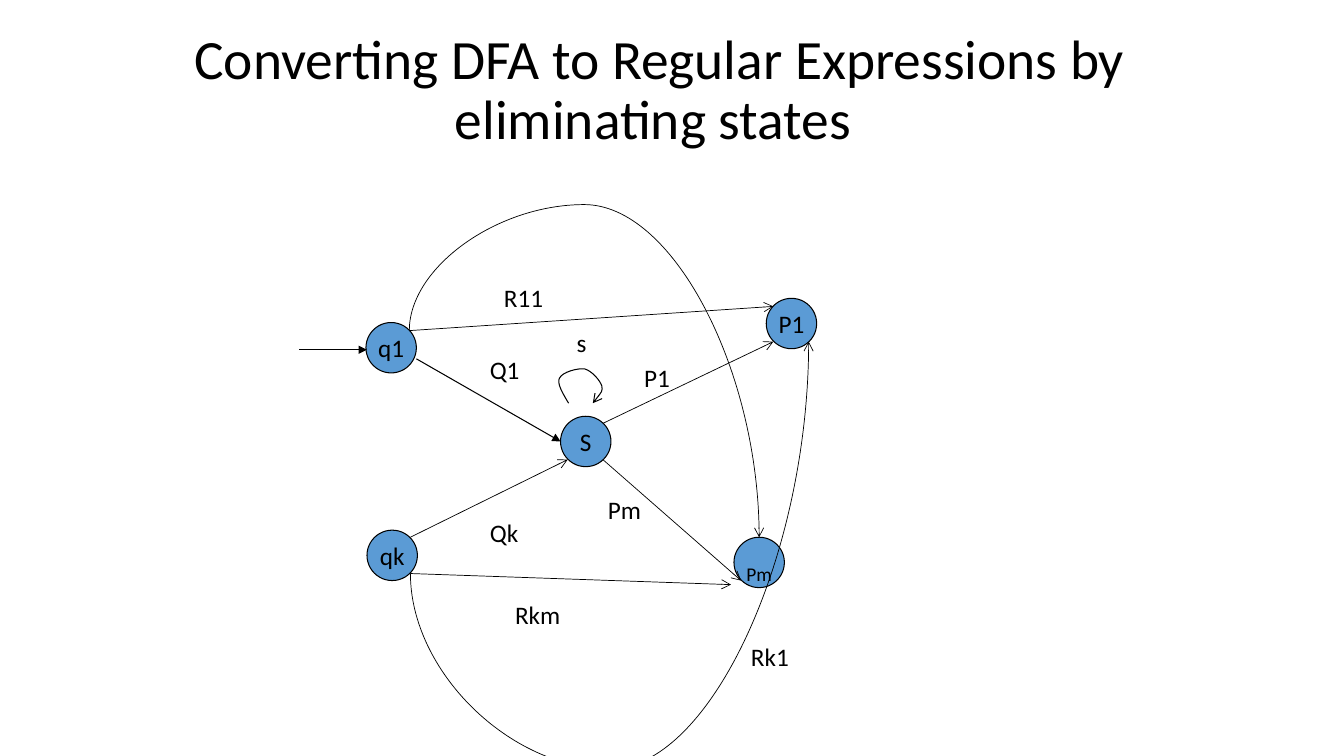
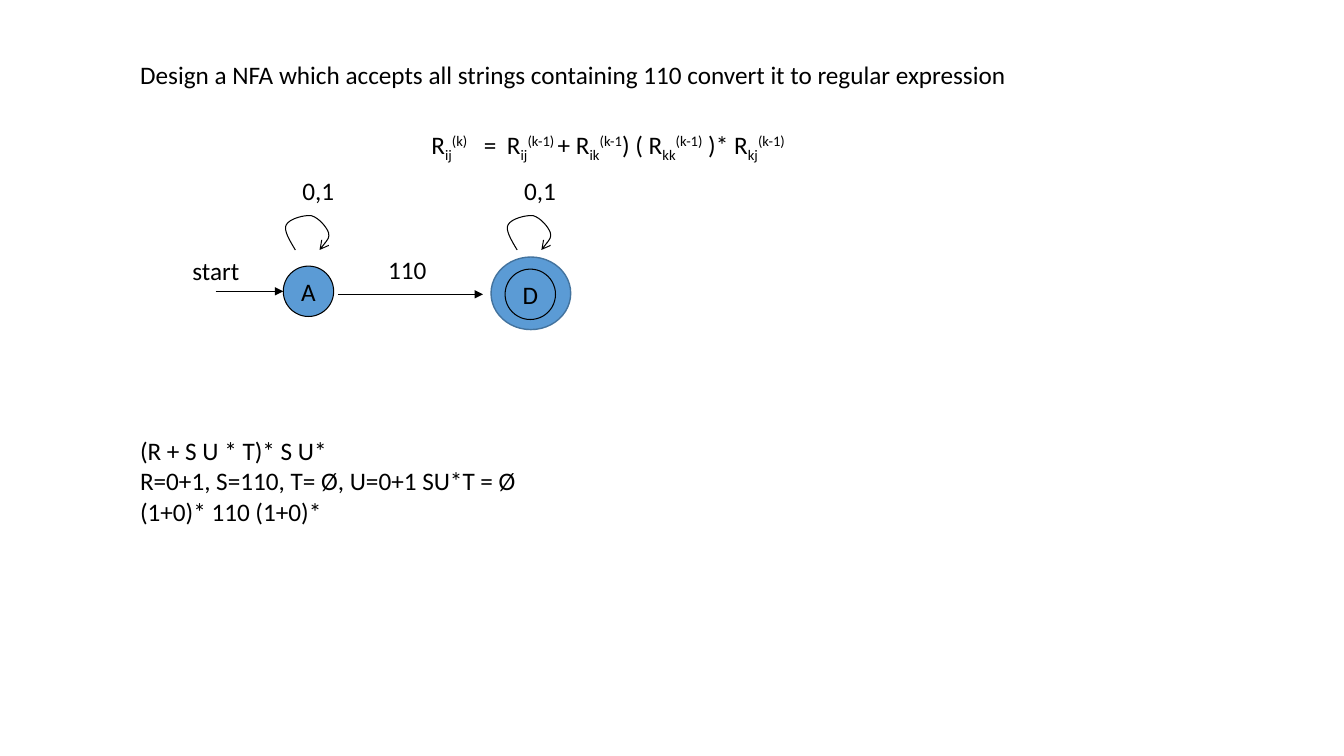
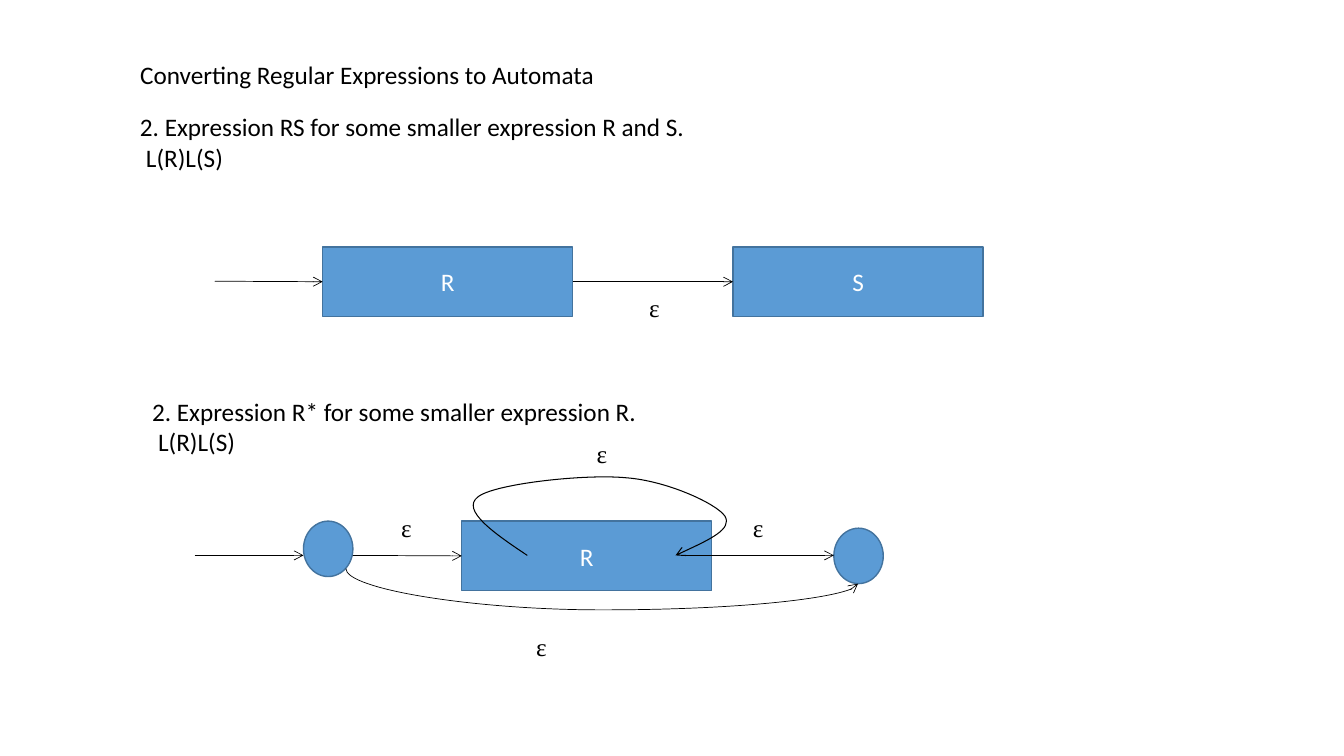
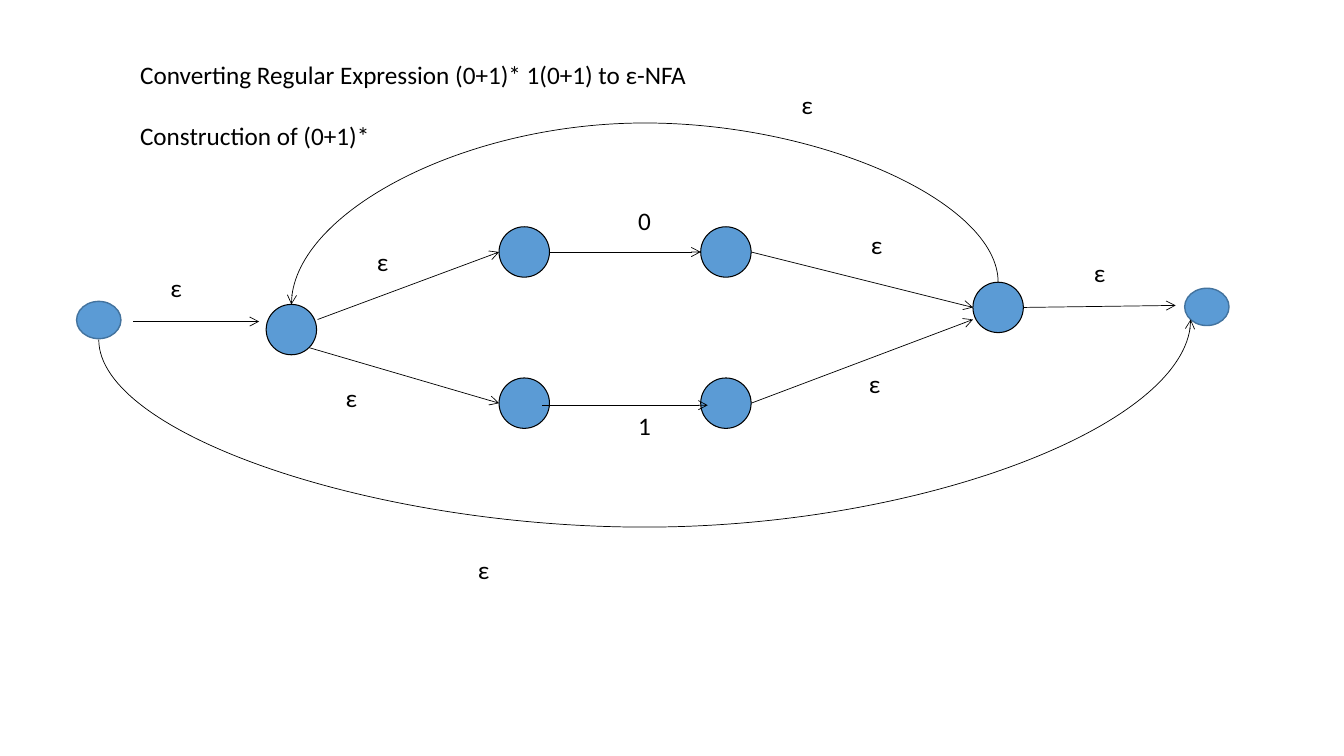
from dataclasses import dataclass
from typing import NamedTuple, Optional, Union

from lxml import etree
from pptx import Presentation
from pptx.dml.color import RGBColor
from pptx.enum.shapes import MSO_CONNECTOR, MSO_SHAPE
from pptx.enum.text import MSO_ANCHOR, MSO_AUTO_SIZE, PP_ALIGN
from pptx.oxml.ns import qn
from pptx.util import Emu, Pt

PX = 9144  # EMU in one px; 100 px make an inch
STRAIGHT, CURVE = MSO_CONNECTOR.STRAIGHT, MSO_CONNECTOR.CURVE
OVAL, RECTANGLE = MSO_SHAPE.OVAL, MSO_SHAPE.RECTANGLE
TOP, MIDDLE = MSO_ANCHOR.TOP, MSO_ANCHOR.MIDDLE
LEFT, CENTER = PP_ALIGN.LEFT, PP_ALIGN.CENTER
NO_FIT, GROW = MSO_AUTO_SIZE.NONE, MSO_AUTO_SIZE.SHAPE_TO_FIT_TEXT
LEFT_SIDE, RIGHT_SIDE = 1, 3
TITLE_ONLY = 5
OPEN, SOLID = "arrow", "triangle"


@dataclass(frozen=True)
class Theme:
    ink: RGBColor = RGBColor(0, 0, 0)
    paper: RGBColor = RGBColor(255, 255, 255)
    fill: RGBColor = RGBColor(0x5B, 0x9B, 0xD5)
    edge: RGBColor = RGBColor(0x43, 0x73, 0x9E)
    font: str = "Calibri"
    symbol_font: str = "Times New Roman"
    title_size: float = 39.6
    text_size: float = 18
    subscript_size: float = 24
    hairline: float = 0.5
    thin: float = 0.75
    medium: float = 1


THEME = Theme()


class Point(NamedTuple):
    x: int
    y: int


class Box(NamedTuple):
    x: int
    y: int
    width: int
    height: int


class Span(NamedTuple):
    text: str
    baseline: int = 0


@dataclass(frozen=True)
class State:
    x: int
    y: int
    name: str = ""
    subscript: bool = False


@dataclass(frozen=True)
class Arrow:
    start: Point
    end: Point
    head: str = OPEN
    weight: float = THEME.hairline
    turn_y: Optional[int] = None  # height at which a curved arrow turns back


@dataclass(frozen=True)
class Label:
    x: int
    y: int
    width: int
    text: str


CIRCLE = 50
LABEL_HEIGHT = 40
HEADING = Box(129, 54, 1118, 40)
SUP, SUB = 30, -25
SMALL_LOOP = [Point(*pair) for pair in (
    (12, 35), (6, 25), (0, 15), (3, 10), (6, 4), (21, 0), (28, 1),
    (35, 3), (43, 12), (45, 18), (46, 23), (41, 29), (36, 35))]
WIDE_LOOP = [Point(*pair) for pair in (
    (66, 81), (33, 59), (0, 36), (17, 23), (33, 10), (123, 0), (164, 4),
    (205, 7), (254, 30), (262, 42), (270, 55), (241, 68), (213, 81))]


def px(*lengths: float) -> list[Emu]:
    return [Emu(round(length * PX)) for length in lengths]


def write(para, text: Union[str, list[Span]], *, size=THEME.text_size, font=THEME.font,
          color=THEME.ink, align=LEFT, spacing=1.0, indent=0, tabs=()) -> None:
    """Fill a paragraph with formatted text, given as a string or as spans."""
    para.alignment, para.line_spacing = align, spacing
    properties = para._p.get_or_add_pPr()
    if indent:
        properties.set("marL", str(indent * PX))
    if tabs:
        tab_list = etree.SubElement(properties, qn("a:tabLst"))
        for stop in tabs:
            etree.SubElement(tab_list, qn("a:tab"), pos=str(stop * PX), algn="l")
    for span in [Span(text)] if isinstance(text, str) else text:
        run = para.add_run()
        run.text = span.text
        run.font.size, run.font.name = Pt(size), font
        run.font.color.rgb = color
        if span.baseline:
            run.font._element.set("baseline", str(span.baseline * 1000))


def set_title(slide, text: str, box: Box, *, anchor=TOP, **text_format) -> None:
    title = slide.shapes.title
    title.left, title.top, title.width, title.height = px(*box)
    frame = title.text_frame
    frame.auto_size, frame.vertical_anchor, frame.word_wrap = NO_FIT, anchor, True
    write(frame.paragraphs[0], text, **text_format)


def add_text(slide, box: Box, lines: list, *, wrap=True, indents=(), **text_format) -> None:
    frame = slide.shapes.add_textbox(*px(*box)).text_frame
    frame.word_wrap, frame.auto_size = wrap, GROW
    for number, line in enumerate(lines):
        para = frame.add_paragraph() if number else frame.paragraphs[0]
        indent = indents[number] if indents else 0
        write(para, line, indent=indent, **text_format)


def add_labels(slide, labels: list[Label], **text_format) -> None:
    for label in labels:
        box = Box(label.x, label.y, label.width, LABEL_HEIGHT)
        add_text(slide, box, [label.text], wrap=False, **text_format)


def add_block(slide, kind, box: Box, text: Union[str, list[Span]] = "", *,
              edge=THEME.edge, weight=THEME.medium, wrap=True, **text_format):
    """Add a filled preset shape with centred text."""
    shape = slide.shapes.add_shape(kind, *px(*box))
    shape.shadow.inherit = False
    shape.fill.solid()
    shape.fill.fore_color.rgb = THEME.fill
    shape.line.color.rgb, shape.line.width = edge, Pt(weight)
    if text:
        frame = shape.text_frame
        frame.word_wrap, frame.vertical_anchor = wrap, MIDDLE
        write(frame.paragraphs[0], text, align=CENTER, **text_format)
    return shape


def add_states(slide, states: list[State]) -> None:
    for state in states:
        text = [Span(state.name, SUB)] if state.subscript else state.name
        add_block(slide, OVAL, Box(state.x, state.y, CIRCLE, CIRCLE), text,
                  edge=THEME.ink, weight=THEME.thin, wrap=False,
                  size=THEME.subscript_size if state.subscript else THEME.text_size)


def style_line(shape, weight: float, head: str) -> None:
    shape.line.color.rgb, shape.line.width = THEME.ink, Pt(weight)
    etree.SubElement(shape.line._get_or_add_ln(), qn("a:tailEnd"), type=head)


def bend(connector, arrow: Arrow) -> None:
    """Turn a curved connector so that it leaves and arrives vertically."""
    upward = arrow.turn_y < arrow.start.y
    rise = arrow.end.y - arrow.start.y
    properties = connector._element.spPr
    transform = properties.find(qn("a:xfrm"))
    transform.set("rot", str((270 if upward else 90) * 60000))
    transform.set("flipH", str(int((rise > 0) == upward)))
    transform.set("flipV", str(int((arrow.end.x < arrow.start.x) == upward)))
    geometry = properties.find(qn("a:prstGeom"))
    adjustments = geometry.find(qn("a:avLst"))
    if adjustments is None:
        adjustments = etree.SubElement(geometry, qn("a:avLst"))
    share = round((arrow.turn_y - arrow.start.y) / rise * 100000)
    etree.SubElement(adjustments, qn("a:gd"), name="adj1", fmla=f"val {share}")


def add_arrow(slide, arrow: Arrow, *, source=None, target=None) -> None:
    """Draw an arrow; source and target are rectangles it is joined to."""
    start, end = arrow.start, arrow.end
    if arrow.turn_y is None:
        connector = slide.shapes.add_connector(STRAIGHT, *px(*start, *end))
    else:
        middle_x, middle_y = (start.x + end.x) / 2, (start.y + end.y) / 2
        half_width, half_height = abs(end.y - start.y) / 2, abs(end.x - start.x) / 2
        connector = slide.shapes.add_connector(CURVE, *px(
            middle_x - half_width, middle_y - half_height,
            middle_x + half_width, middle_y + half_height))
        bend(connector, arrow)
    if source is not None:
        connector.begin_connect(source, RIGHT_SIDE)
    if target is not None:
        connector.end_connect(target, LEFT_SIDE)
    style_line(connector, arrow.weight, arrow.head)
    etree.SubElement(connector._element.spPr, qn("a:effectLst"))


def add_arrows(slide, arrows: list[Arrow]) -> None:
    for arrow in arrows:
        add_arrow(slide, arrow)


def add_loop(slide, origin: Point, outline: list[Point]) -> None:
    """Draw an open Bezier curve: a start, then two handles and an end per part."""
    points = [(origin.x + point.x, origin.y + point.y) for point in outline]
    builder = slide.shapes.build_freeform(*points[0], scale=PX)
    builder.add_line_segments(points[1:], close=False)
    loop = builder.convert_to_shape()
    outline_path = next(loop._element.iter(qn("a:path")))
    segments = outline_path.findall(qn("a:lnTo"))
    for first in range(0, len(segments), 3):
        curve = etree.SubElement(outline_path, qn("a:cubicBezTo"))
        for segment in segments[first:first + 3]:
            curve.append(segment.find(qn("a:pt")))
            outline_path.remove(segment)
    loop.shadow.inherit = False
    loop.fill.background()
    style_line(loop, THEME.thin, OPEN)


def build_elimination(slide) -> None:
    set_title(slide, "Converting DFA to Regular Expressions by eliminating states ",
              Box(86, 30, 1136, 121), anchor=MIDDLE, size=THEME.title_size,
              align=CENTER, spacing=0.9)
    add_states(slide, [
        State(363, 320, "q1"), State(556, 413, "S"), State(728, 533, "Pm", subscript=True),
        State(364, 526, "qk"), State(760, 296, "P1")])
    add_arrows(slide, [
        Arrow(Point(413, 356), Point(556, 438), SOLID, THEME.thin),
        Arrow(Point(297, 347), Point(364, 347), SOLID, THEME.thin),
        Arrow(Point(407, 533), Point(563, 456)),
        Arrow(Point(598, 456), Point(735, 576)),
        Arrow(Point(598, 420), Point(767, 339)),
        Arrow(Point(406, 328), Point(753, 533), turn_y=203),
        Arrow(Point(406, 328), Point(767, 304)),
        Arrow(Point(407, 569), Point(725, 580)),
        Arrow(Point(407, 569), Point(802, 339), turn_y=763)])
    add_loop(slide, Point(552, 365), SMALL_LOOP)
    add_labels(slide, [
        Label(476, 347, 53, "Q1"), Label(562, 320, 30, "s"), Label(490, 275, 59, "R11"),
        Label(629, 355, 46, "P1"), Label(593, 486, 53, "Pm"), Label(476, 508, 48, "Qk"),
        Label(501, 590, 65, "Rkm"), Label(735, 631, 58, "Rk1")])


def build_nfa_design(slide) -> None:
    set_title(slide, "Design a NFA which accepts all strings containing 110 "
                     "convert it to regular expression", HEADING)
    add_block(slide, OVAL, Box(487, 255, 79, 72))
    add_states(slide, [State(281, 264, "A"), State(501, 267, "D")])
    add_arrows(slide, [
        Arrow(Point(214, 289), Point(281, 289), SOLID, THEME.thin),
        Arrow(Point(335, 292), Point(479, 292), SOLID, THEME.thin)])
    for loop_x in (281, 501):
        add_loop(slide, Point(loop_x, 213), SMALL_LOOP)
        add_labels(slide, [Label(loop_x + 9, 169, 52, "0,1")])
    add_labels(slide, [Label(375, 247, 58, "110"), Label(181, 248, 67, "start")])
    add_text(slide, Box(129, 427, 1118, 101), [
        "(R + S U * T)* S U*",
        "R=0+1, S=110, T= Ø, U=0+1 SU*T = Ø",
        "(1+0)* 110 (1+0)*"])
    formula = [
        Span("R"), Span("ij", SUB), Span("(k)", SUP),
        Span("\t=\tR"), Span("ij", SUB), Span("(k-1) ", SUP),
        Span("+ R"), Span("ik", SUB), Span("(k-1", SUP),
        Span(") ( R"), Span("kk", SUB), Span("(k-1)", SUP),
        Span(" )* R"), Span("kj", SUB), Span("(k-1)", SUP)]
    add_text(slide, Box(418, 123, 676, 40), [formula], tabs=(52, 75))


def build_concatenation_and_star(slide) -> None:
    set_title(slide, "Converting Regular Expressions to Automata", HEADING)
    for x, y, expression in ((129, 106, "RS for some smaller expression R and S."),
                             (141, 388, "R* for some smaller expression R.")):
        add_text(slide, Box(x, y, 1094, 71),
                 [f"2. Expression {expression}", "L(R)L(S)"], indents=(0, 6))
    first, second, starred = [
        add_block(slide, RECTANGLE, Box(x, y, 248, 69), name, color=THEME.paper)
        for x, y, name in ((320, 245, "R"), (727, 245, "S"), (458, 517, "R"))]
    for x, y in ((301, 517), (827, 524)):
        add_block(slide, OVAL, Box(x, y, 49, 55))
    add_arrow(slide, Arrow(Point(213, 279), Point(320, 279)), target=first)
    add_arrow(slide, Arrow(Point(568, 279), Point(727, 279)), source=first, target=second)
    add_arrow(slide, Arrow(Point(350, 551), Point(458, 551)), target=starred)
    add_arrows(slide, [
        Arrow(Point(678, 551), Point(827, 551)),
        Arrow(Point(193, 551), Point(301, 551)),
        Arrow(Point(343, 564), Point(851, 579), turn_y=605)])
    add_loop(slide, Point(457, 470), WIDE_LOOP)
    add_labels(slide, [Label(x, y, 30, "ε") for x, y in (
        (634, 285), (388, 503), (522, 621), (737, 503), (582, 430))],
        font=THEME.symbol_font)


def build_epsilon_nfa(slide) -> None:
    set_title(slide, "Converting Regular Expression (0+1)* 1(0+1) to ε-NFA", HEADING)
    add_text(slide, Box(129, 114, 1118, 40), ["Construction of (0+1)*"])
    add_states(slide, [State(264, 302), State(965, 280)]
               + [State(x, y) for y in (225, 375) for x in (495, 695)])
    for x, y in ((76, 299), (1175, 286)):
        add_block(slide, OVAL, Box(x, y, 44, 37))
    add_arrows(slide, [
        Arrow(Point(315, 317), Point(495, 250)),
        Arrow(Point(545, 250), Point(695, 250)),
        Arrow(Point(745, 250), Point(965, 305)),
        Arrow(Point(307, 345), Point(495, 400)),
        Arrow(Point(538, 402), Point(702, 402)),
        Arrow(Point(745, 400), Point(965, 317)),
        Arrow(Point(132, 319), Point(257, 319)),
        Arrow(Point(1015, 305), Point(1166, 303)),
        Arrow(Point(98, 337), Point(1181, 317), turn_y=523),
        Arrow(Point(990, 280), Point(289, 302), turn_y=122)])
    add_labels(slide, [Label(623, 199, 33, "0"), Label(623, 402, 33, "1")])
    add_labels(slide, [Label(x, y, 31, "ε") for x, y in (
        (1075, 250), (852, 361), (333, 374), (364, 239),
        (464, 545), (854, 223), (159, 265), (785, 84))])


def main() -> None:
    deck = Presentation()
    deck.slide_width, deck.slide_height = px(1333, 750)
    for build in (build_elimination, build_nfa_design,
                  build_concatenation_and_star, build_epsilon_nfa):
        build(deck.slides.add_slide(deck.slide_layouts[TITLE_ONLY]))
    deck.save("out.pptx")


if __name__ == "__main__":
    main()
